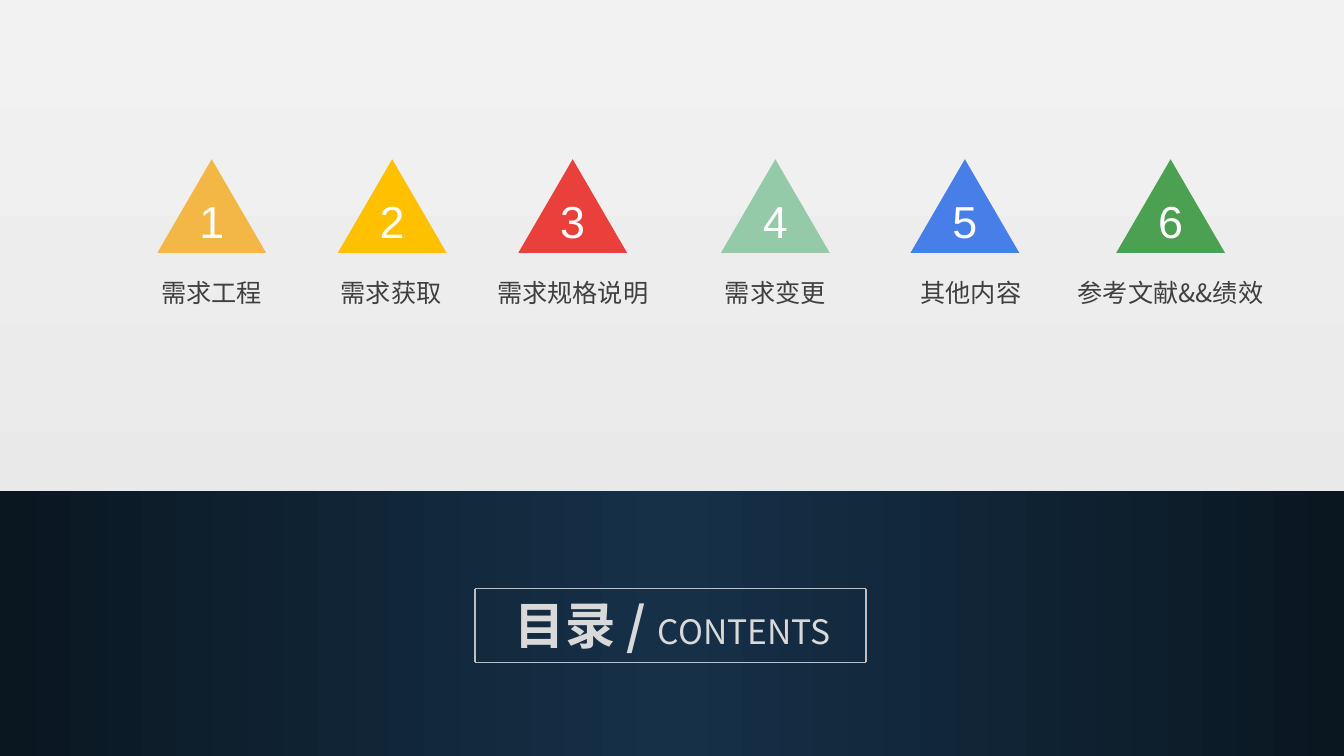
from lxml import etree
from pptx import Presentation, util as u
from pptx.dml.color import RGBColor
from pptx.enum import shapes, text
from pptx.oxml.ns import qn

W, H = 13.33, 7.5
CJK = "Noto Sans CJK SC"

# number's triangle centre, label centre, label width, label, colour
CHAPTERS = [
    (2.1, 2.1, 1.2, "需求工程", "F3B745"),
    (3.89, 3.88, 1.2, "需求获取", "FFC000"),
    (5.68, 5.68, 1.7, "需求规格说明", "E9403C"),
    (7.69, 7.69, 1.2, "需求变更", "94CAA8"),
    (9.57, 9.63, 1.2, "其他内容", "477EE7"),
    (11.61, 11.61, 2.13, "参考文献&&绩效", "4BA151"),
]


def rgb(hex_):
    return RGBColor.from_string(hex_)


def inches(*lengths):
    return [u.Inches(n) for n in lengths]


def gradient(fill, start, end, angle):
    fill.gradient()
    fill.gradient_angle = angle
    for stop, color in zip(fill.gradient_stops, (start, end)):
        stop.color.rgb = rgb(color)


def style(r, size, color, font, bold=False):
    r.font.size, r.font.bold, r.font.name = u.Pt(size), bold, font
    r.font.color.rgb = rgb(color)
    # East Asian characters take their own font entry
    ea = etree.Element(qn("a:ea"), typeface=font)
    r.font._element.find(qn("a:latin")).addnext(ea)


def add_shape(parent, kind, *box):
    sp = parent.add_shape(kind, *inches(*box))
    sp.shadow.inherit = False
    sp.line.fill.background()
    return sp


def add_text(parent, box, content, size, color, font, wrap=False):
    tf = parent.add_textbox(*inches(*box)).text_frame
    tf.word_wrap = wrap
    p = tf.paragraphs[0]
    p.text = content
    p.alignment = text.PP_ALIGN.CENTER
    style(p.runs[0], size, color, font)


def add_band(s, x, y, w, h):
    # Two mirrored halves, lightest where they meet
    for left, turn in ((x, 180), (x + w / 2, 0)):
        sp = add_shape(s.shapes, shapes.MSO_SHAPE.RECTANGLE, left, y, w / 2, h)
        sp.rotation = turn
        gradient(sp.fill, "163048", "0A1721", 0)


def add_chapter(s, y, number, center, label_center, label_w, label, color):
    w, h, digit_w, digit_h = 1.08, 0.93, 0.45, 0.64
    add_text(s.shapes, (label_center - label_w / 2, y + 1.12, label_w, 0.4),
             label, 18, "404040", CJK, wrap=label_w > 2)
    badge = s.shapes.add_group_shape().shapes
    sp = add_shape(badge, shapes.MSO_SHAPE.ISOSCELES_TRIANGLE, center - w / 2, y, w, h)
    sp.fill.solid()
    sp.fill.fore_color.rgb = rgb(color)
    add_text(badge, (center - digit_w / 2, y + h - digit_h, digit_w, digit_h),
             str(number), 32, "FFFFFF", "Arial")


def add_title(s, x, y, w, h):
    title = s.shapes.title
    title.left, title.top, title.width, title.height = inches(x + 0.15, y, w - 0.26, 0.71)
    tf = title.text_frame
    tf.word_wrap = True
    tf.auto_size = text.MSO_AUTO_SIZE.NONE
    tf.vertical_anchor = text.MSO_ANCHOR.TOP
    p = tf.paragraphs[0]
    p.alignment = text.PP_ALIGN.CENTER
    for content, size, bold in (("目录 / ", 36, True), ("CONTENTS", 24, False)):
        r = p.add_run()
        r.text = content
        style(r, size, "D9D9D9", CJK, bold)
    # Frame of four lines
    corners = [(x, y), (x + w, y), (x + w, y + h), (x, y + h)]
    for start, end in zip(corners, corners[1:] + corners[:1]):
        line = s.shapes.add_connector(shapes.MSO_CONNECTOR.STRAIGHT, *inches(*start, *end))
        line.line.color.rgb = rgb("BFBFBF")
        line.line.width = u.Pt(1)
        etree.SubElement(line._element.spPr, qn("a:effectLst"))


def main():
    prs = Presentation()
    prs.slide_width, prs.slide_height = inches(W, H)
    s = prs.slides.add_slide(prs.slide_layouts[5])
    gradient(s.background.fill, "F2F2F2", "E6E4E4", 270)
    add_band(s, 0, 0.65 * H, W, 0.35 * H)
    # The title stands in front of the band
    s.shapes._spTree.append(s.shapes.title._element)
    for number, chapter in enumerate(CHAPTERS, 1):
        add_chapter(s, 1.58, number, *chapter)
    add_title(s, 4.71, 5.84, 3.88, 0.73)
    prs.save("out.pptx")


if __name__ == "__main__":
    main()
